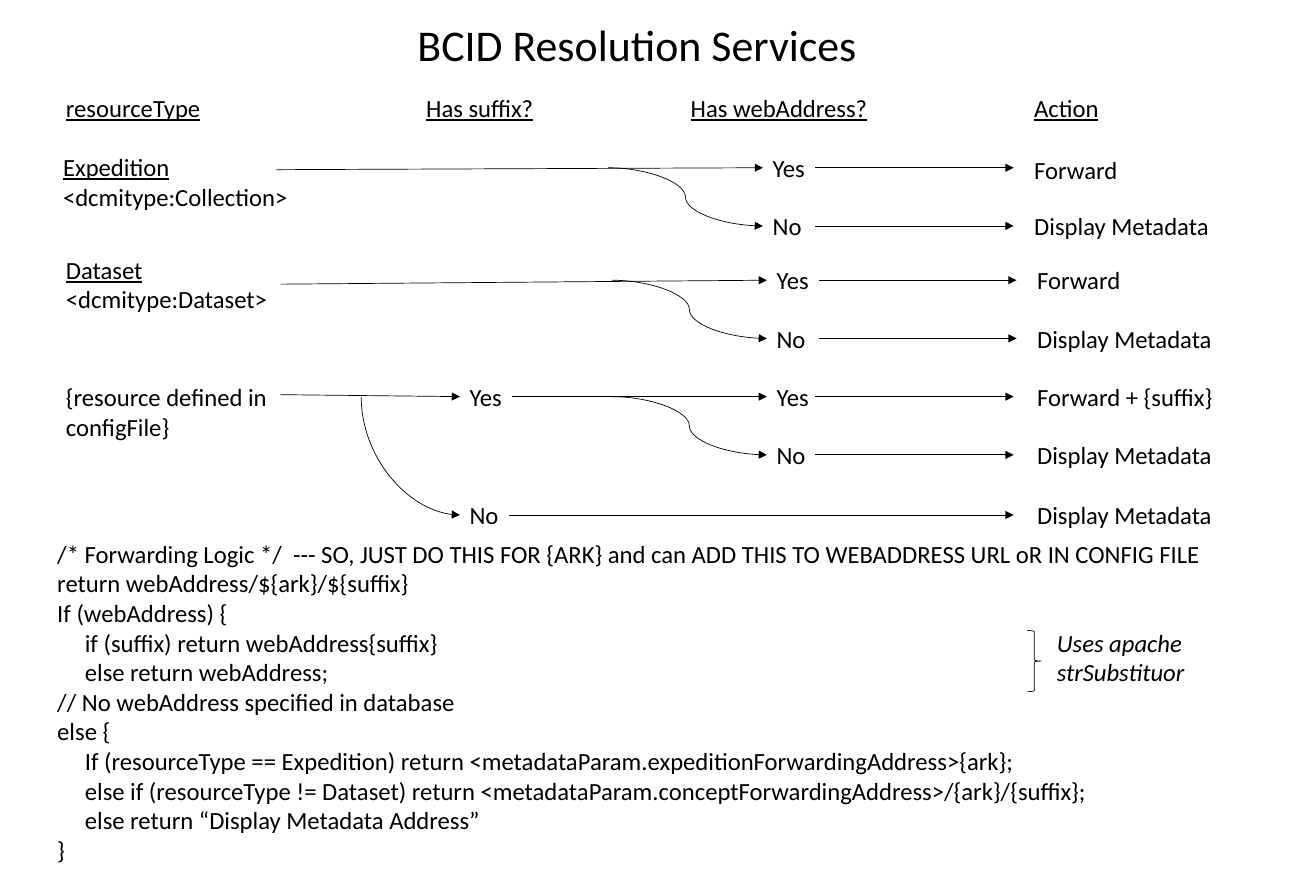
from dataclasses import dataclass

from lxml.etree import SubElement
from pptx import Presentation
from pptx.dml.color import RGBColor
from pptx.enum.shapes import MSO_CONNECTOR, MSO_SHAPE
from pptx.enum.text import MSO_ANCHOR, MSO_AUTO_SIZE, PP_ALIGN
from pptx.oxml.ns import qn
from pptx.util import Inches, Pt

COLORS = {"ink": "000000"}
INK = RGBColor.from_string(COLORS["ink"])
FONT = {"name": "Calibri", "size": Pt(18)}
PLAIN = {}
UNDERLINED = {"underline": True}
ITALIC = {"italic": True}
LABEL_RISE = 0.2
LINE_HEIGHT = 0.4
CODE_INDENT = 0.28


@dataclass
class Label:
    left: float
    top: float
    width: float
    lines: list
    first: dict
    rest: dict


@dataclass
class Branch:
    fork: float
    answer: float
    yes: float
    no: float
    arrow_start: float
    arrow_end: float
    action_left: float
    yes_action: str
    yes_action_top: float
    yes_action_width: float


@dataclass
class Arrow:
    start: tuple
    end: tuple
    kind: int = MSO_CONNECTOR.STRAIGHT


def style_span(span, style: dict) -> None:
    for name, value in {**FONT, **style}.items():
        setattr(span.font, name, value)
    span.font.color.rgb = INK


def draw_label(slide, label: Label) -> None:
    height = LINE_HEIGHT + 0.31 * (len(label.lines) - 1)
    box = slide.shapes.add_textbox(
        Inches(label.left), Inches(label.top), Inches(label.width), Inches(height))
    frame = box.text_frame
    frame.word_wrap = False
    frame.auto_size = MSO_AUTO_SIZE.SHAPE_TO_FIT_TEXT
    for index, line in enumerate(label.lines):
        para = frame.add_paragraph() if index else frame.paragraphs[0]
        span = para.add_run()
        span.text = line
        style_span(span, label.rest if index else label.first)


def draw_arrow(slide, arrow: Arrow):
    points = [Inches(value) for value in arrow.start + arrow.end]
    connector = slide.shapes.add_connector(arrow.kind, *points)
    connector.line.color.rgb = INK
    connector.line.width = Pt(0.5)
    SubElement(connector.line._get_or_add_ln(), qn("a:tailEnd"), type="triangle")
    SubElement(connector.element.spPr, qn("a:effectLst"))
    return connector


def draw_quarter_curve(slide, left: float, top: float, width: float, height: float) -> None:
    connector = draw_arrow(
        slide, Arrow((left, top), (left + width, top + height), MSO_CONNECTOR.CURVE))
    properties = connector.element.spPr
    frame = properties.find(qn("a:xfrm"))
    frame.set("rot", "16200000")
    frame.set("flipH", "1")
    properties.find(qn("a:prstGeom")).set("prst", "curvedConnector2")


def draw_branch(slide, branch: Branch) -> None:
    draw_arrow(slide, Arrow((branch.fork, branch.yes), (branch.answer, branch.no),
                            MSO_CONNECTOR.CURVE))
    actions = [
        ("Yes", 0.53, branch.yes, branch.yes_action, branch.yes_action_top,
         branch.yes_action_width),
        ("No", 0.5, branch.no, "Display Metadata", branch.no - LABEL_RISE, 1.99),
    ]
    for answer, answer_width, level, action, action_top, action_width in actions:
        draw_label(slide, Label(branch.answer, level - LABEL_RISE, answer_width,
                                [answer], PLAIN, PLAIN))
        draw_arrow(slide, Arrow((branch.arrow_start, level), (branch.arrow_end, level)))
        draw_label(slide, Label(branch.action_left, action_top, action_width,
                                [action], PLAIN, PLAIN))


def place(shape, left: float, top: float, width: float, height: float) -> None:
    bounds = {"left": left, "top": top, "width": width, "height": height}
    for name, value in bounds.items():
        setattr(shape, name, Inches(value))


def fill_title(title, text: str) -> None:
    place(title, 4.13, 0.13, 4.7, 0.64)
    frame = title.text_frame
    frame.word_wrap = False
    frame.auto_size = MSO_AUTO_SIZE.NONE
    para = frame.paragraphs[0]
    para.alignment = PP_ALIGN.LEFT
    span = para.add_run()
    span.text = text
    style_span(span, {"size": Pt(32)})


def fill_code(body, lines: list) -> None:
    place(body, 0.48, 5.41, 11.91, 3.43)
    frame = body.text_frame
    frame.word_wrap = False
    frame.auto_size = MSO_AUTO_SIZE.NONE
    frame.vertical_anchor = MSO_ANCHOR.TOP
    for index, (depth, line) in enumerate(lines):
        para = frame.add_paragraph() if index else frame.paragraphs[0]
        para.space_before = Pt(0)
        properties = para._p.get_or_add_pPr()
        properties.set("marL", str(Inches(CODE_INDENT * depth)))
        properties.set("indent", "0")
        SubElement(properties, qn("a:buNone"))
        span = para.add_run()
        span.text = line
        style_span(span, PLAIN)


LABELS = [
    Label(0.57, 0.89, 1.58, ["resourceType"], UNDERLINED, PLAIN),
    Label(4.22, 0.89, 1.3, ["Has suffix?"], UNDERLINED, PLAIN),
    Label(6.9, 0.89, 2.01, ["Has webAddress?"], UNDERLINED, PLAIN),
    Label(10.38, 0.89, 0.86, ["Action"], UNDERLINED, PLAIN),
    Label(0.54, 1.49, 2.51, ["Expedition", "<dcmitype:Collection>"], UNDERLINED, PLAIN),
    Label(0.57, 2.53, 2.26, ["Dataset", "<dcmitype:Dataset>"], UNDERLINED, PLAIN),
    Label(0.57, 3.82, 2.27, ["{resource defined in", "configFile}"], PLAIN, PLAIN),
    Label(4.66, 3.82, 0.53, ["Yes"], PLAIN, PLAIN),
    Label(4.66, 5.02, 0.5, ["No"], PLAIN, PLAIN),
    Label(10.41, 5.02, 1.99, ["Display Metadata"], PLAIN, PLAIN),
    Label(10.61, 6.31, 1.53, ["Uses apache", "strSubstituor"], ITALIC, ITALIC),
]
BRANCHES = [
    Branch(6.16, 7.73, 1.7, 2.29, 8.26, 10.27, 10.38, "Forward", 1.52, 1.05),
    Branch(6.2, 7.77, 2.84, 3.43, 8.3, 10.3, 10.41, "Forward", 2.64, 1.05),
    Branch(6.2, 7.77, 4.02, 4.61, 8.26, 10.27, 10.41, "Forward + {suffix}", 3.82, 2),
]
ARROWS = [
    Arrow((2.8, 1.72), (7.73, 1.7)),
    Arrow((2.84, 2.88), (7.77, 2.84)),
    Arrow((2.84, 4), (4.66, 4.02)),
    Arrow((5.19, 4.02), (7.77, 4.02)),
    Arrow((5.16, 5.22), (10.27, 5.22)),
]
CODE = [
    (0, "/* Forwarding Logic */  --- SO, JUST DO THIS FOR {ARK} and can ADD THIS TO "
        "WEBADDRESS URL oR IN CONFIG FILE"),
    (0, "return webAddress/${ark}/${suffix}"),
    (0, "If (webAddress) {"),
    (1, "if (suffix) return webAddress{suffix}"),
    (1, "else return webAddress;"),
    (0, "// No webAddress specified in database"),
    (0, "else {"),
    (1, "If (resourceType == Expedition) return "
        "<metadataParam.expeditionForwardingAddress>{ark};"),
    (1, "else if (resourceType != Dataset) return "
        "<metadataParam.conceptForwardingAddress>/{ark}/{suffix};"),
    (1, "else return “Display Metadata Address”"),
    (0, "}"),
]

deck = Presentation()
deck.slide_width, deck.slide_height = Inches(40 / 3), Inches(9)
page = deck.slides.add_slide(deck.slide_layouts[1])
fill_title(page.shapes.title, "BCID Resolution Services")
fill_code(page.placeholders[1], CODE)
for label in LABELS:
    draw_label(page, label)
for arrow in ARROWS:
    draw_arrow(page, arrow)
for branch in BRANCHES:
    draw_branch(page, branch)
draw_quarter_curve(page, 3.56, 4.12, 1.2, 1)

brace = page.shapes.add_shape(
    MSO_SHAPE.RIGHT_BRACE, Inches(10.41), Inches(6.39), Inches(0.14), Inches(0.62))
brace.shadow.inherit = False
brace.fill.background()
brace.line.color.rgb = INK
brace.line.width = Pt(0.5)
deck.save("out.pptx")
